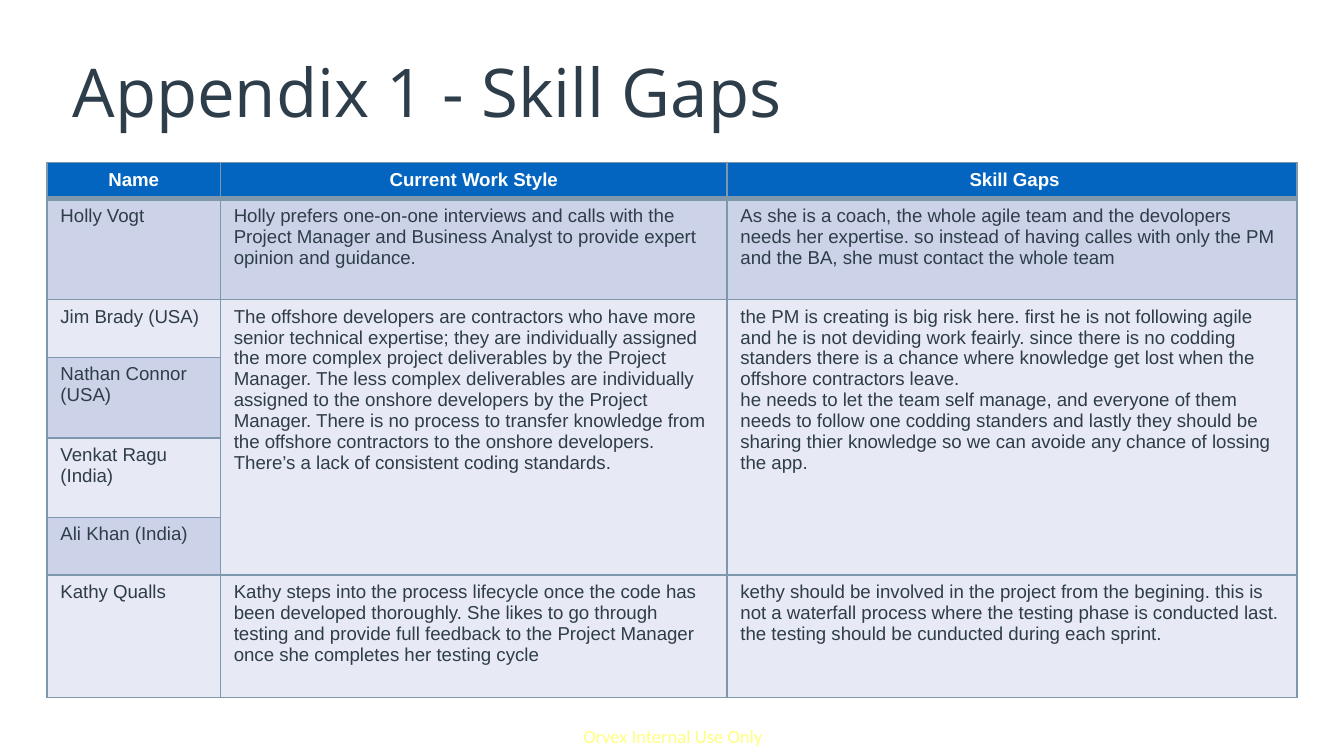
from lxml.etree import SubElement
from pptx import Presentation
from pptx.dml.color import RGBColor
from pptx.enum.text import MSO_ANCHOR, PP_ALIGN
from pptx.oxml.ns import qn
from pptx.util import Inches, Pt

COLORS = {
    "title": "2D3D4A",
    "text": "2E3D49",
    "header": "0365C0",
    "header_text": "FFFFFF",
    "dark_band": "CCD3E8",
    "light_band": "E7EAF4",
    "border": "7D97AD",
    "footer": "FFFF00",
}

COLUMN_WIDTHS = [1.29, 3.77, 4.24]
ROW_HEIGHTS = [0.27, 0.75, 0.43, 0.6, 0.59, 0.43, 0.91]
ROW_FILLS = ["header", "dark_band", "light_band", "dark_band", "light_band", "dark_band", "light_band"]
ROWS = [
    ["Name", "Current Work Style", " Skill Gaps"],
    [
        "Holly Vogt",
        "Holly prefers one-on-one interviews and calls with the Project Manager and Business Analyst "
        "to provide expert opinion and guidance.",
        "As she is a coach, the whole agile team and the devolopers needs her expertise. so instead of "
        "having calles with only the PM and the BA, she must contact the whole team",
    ],
    [
        "Jim Brady (USA)",
        "The offshore developers are contractors who have more senior technical expertise; they are "
        "individually assigned the more complex project deliverables by the Project Manager. The less "
        "complex deliverables are individually assigned to the onshore developers by the Project Manager. "
        "There is no process to transfer knowledge from the offshore contractors to the onshore developers. "
        "There’s a lack of consistent coding standards.",
        "the PM is creating is big risk here. first he is not following agile and he is not deviding work "
        "feairly. since there is no codding standers there is a chance where knowledge get lost when the "
        "offshore contractors leave.\n"
        "he needs to let the team self manage, and everyone of them needs to follow one codding standers "
        "and lastly they should be sharing thier knowledge so we can avoide any chance of lossing the app.",
    ],
    ["Nathan Connor (USA)"],
    ["Venkat Ragu (India)"],
    ["Ali Khan (India)"],
    [
        "Kathy Qualls",
        "Kathy steps into the process lifecycle once the code has been developed thoroughly. She likes to "
        "go through testing and provide full feedback to the Project Manager once she completes her "
        "testing cycle",
        "kethy should be involved in the project from the begining. this is not a waterfall process where "
        "the testing phase is conducted last. the testing should be cunducted during each sprint.",
    ],
]


def style_font(paragraph, name, size, color, bold=False):
    paragraph.font.name = name
    paragraph.font.size = Pt(size)
    paragraph.font.bold = bold
    paragraph.font.color.rgb = RGBColor.from_string(COLORS[color])


def add_border(cell, side, width):
    line = SubElement(cell._tc.get_or_add_tcPr(), qn(f"a:ln{side}"), w=str(Pt(width)))
    fill = SubElement(line, qn("a:solidFill"))
    SubElement(fill, qn("a:srgbClr"), val=COLORS["border"])


presentation = Presentation()
presentation.slide_width = Inches(10)
presentation.slide_height = Inches(10) * 9 // 16
slide = presentation.slides.add_slide(presentation.slide_layouts[6])

footer = slide.shapes.add_textbox(Inches(4.34), Inches(5.39), Inches(1.34), Inches(0.17))
title = slide.shapes.add_textbox(Inches(0.5), Inches(0.35), Inches(9), Inches(0.65))
for box, text, margin in [(footer, "Orvex Internal Use Only", 0), (title, "Appendix 1 - Skill Gaps", 0.04)]:
    frame = box.text_frame
    frame.text = text
    frame.margin_left = frame.margin_right = Inches(margin)
    frame.margin_top = frame.margin_bottom = Inches(margin)
style_font(footer.text_frame.paragraphs[0], "Calibri", 10, "footer")
for color in footer._element.iter(qn("a:srgbClr")):
    SubElement(color, qn("a:alpha"), val="50000")
title.text_frame.word_wrap = True
title.text_frame.vertical_anchor = MSO_ANCHOR.MIDDLE
style_font(title.text_frame.paragraphs[0], "Open Sans", 36, "title")

table = slide.shapes.add_table(
    len(ROW_HEIGHTS), len(COLUMN_WIDTHS), Inches(0.35), Inches(1.21), Inches(9.3), Inches(3.99)
).table
for column, width in zip(table.columns, COLUMN_WIDTHS):
    column.width = Inches(width)
for row, height in zip(table.rows, ROW_HEIGHTS):
    row.height = Inches(height)
for column_index in (1, 2):
    table.cell(2, column_index).merge(table.cell(5, column_index))

for row_index, row in enumerate(table.rows):
    is_header = row_index == 0
    for column_index, cell in enumerate(row.cells):
        for side in "LRTB":
            under_header = (row_index, side) in [(0, "B"), (1, "T")]
            add_border(cell, side, 3 if under_header else 1)
        cell.fill.solid()
        cell.fill.fore_color.rgb = RGBColor.from_string(COLORS[ROW_FILLS[row_index]])
        if column_index >= len(ROWS[row_index]):
            continue
        cell.text = ROWS[row_index][column_index]
        for paragraph in cell.text_frame.paragraphs:
            style_font(paragraph, "Arial", 10, "header_text" if is_header else "text", is_header)
            paragraph.alignment = PP_ALIGN.CENTER if is_header else PP_ALIGN.LEFT

presentation.save("out.pptx")
